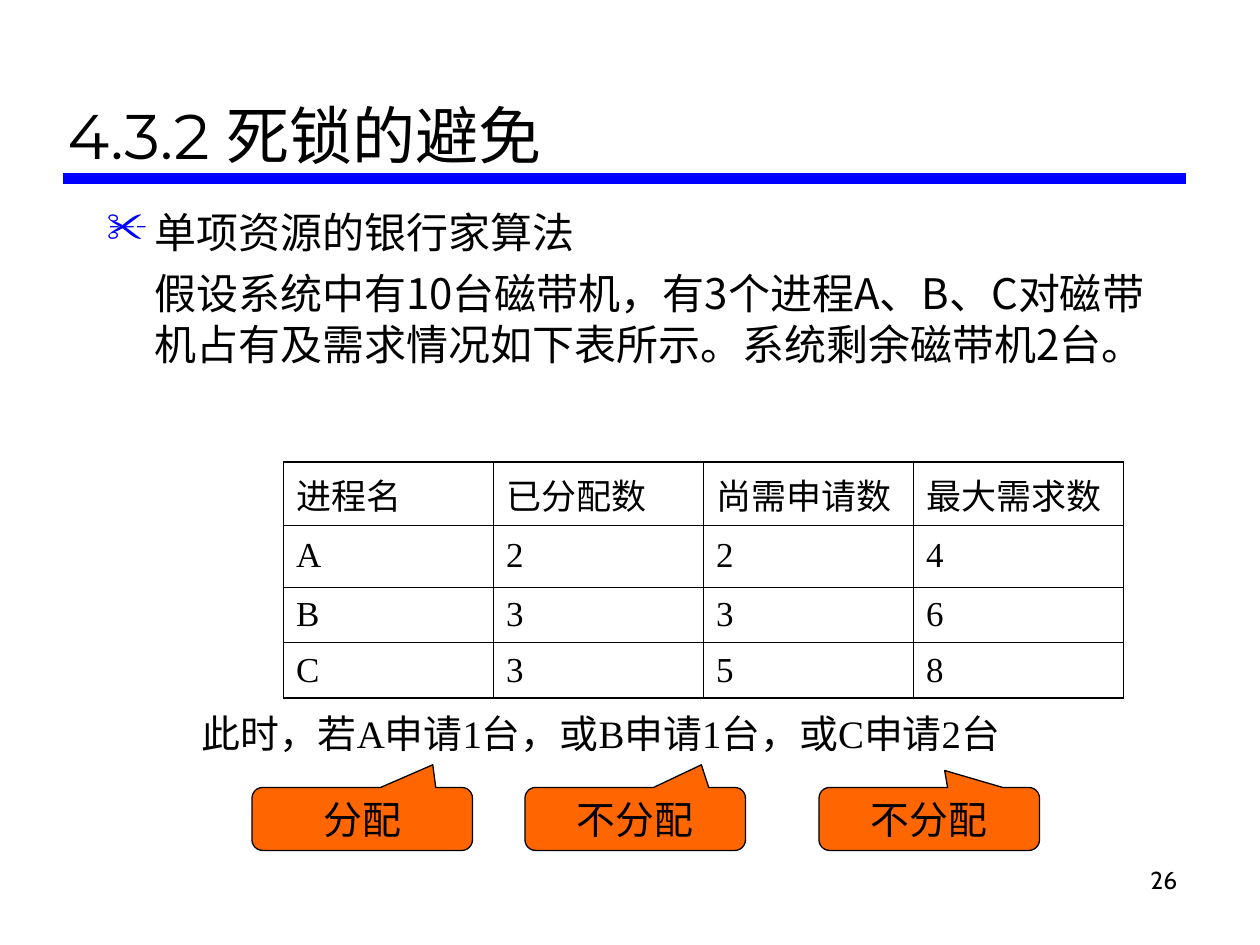
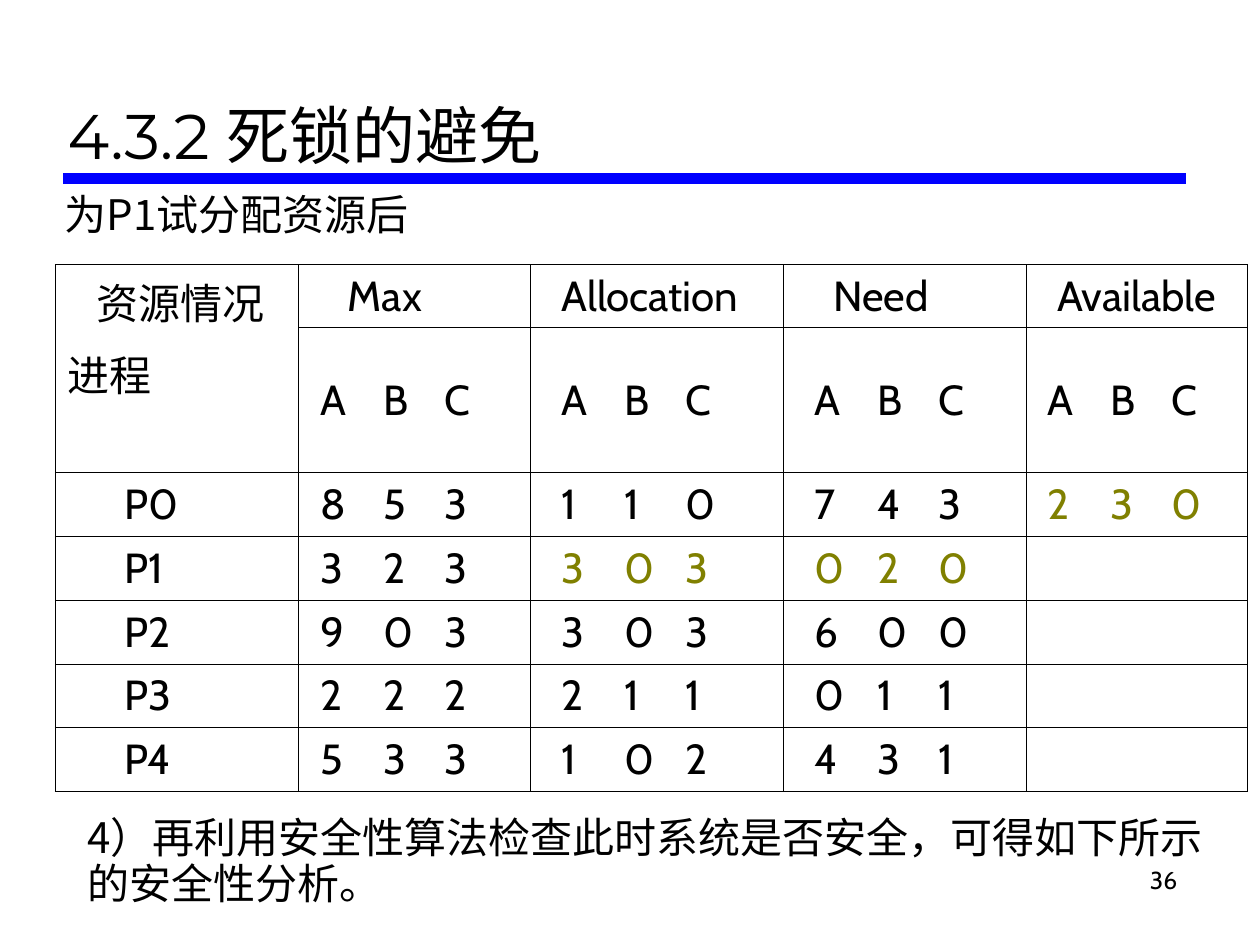
from dataclasses import dataclass
from typing import NamedTuple, Optional

import lxml.etree
import pptx
import pptx.dml.color
import pptx.enum.shapes
import pptx.enum.text
import pptx.oxml.ns
import pptx.util

ALIGN = pptx.enum.text.PP_ALIGN
ANCHOR = pptx.enum.text.MSO_ANCHOR
SHAPES = pptx.enum.shapes.MSO_SHAPE
qn = pptx.oxml.ns.qn

# The 10 by 7.5 inch slide is a grid of 120 columns by 90 rows
COLUMNS = 120
WIDTH, HEIGHT = pptx.util.Inches(10), pptx.util.Inches(7.5)
UNIT = WIDTH // COLUMNS


def grid(count: float) -> int:
    return round(count * UNIT)


@dataclass(frozen=True)
class Theme:
    ink: str = "000000"
    blue: str = "0000FF"
    orange: str = "FF6600"
    olive: str = "808000"
    heading_font: str = "Montserrat"
    body_font: str = "Noto Sans CJK SC"
    label_font: str = "Cabin"
    serif_font: str = "Times New Roman"
    title_size: float = 36
    body_size: float = 24
    note_size: float = 22.2
    table_size: float = 20
    number_size: float = 14
    title_leading: float = 44
    body_leading: float = 29
    tight_leading: float = 26
    hairline: float = 0.45
    frame_line: float = 1.08


THEME = Theme()


class Area(NamedTuple):
    column: float
    row: float
    columns: float
    rows: float

    def box(self) -> tuple:
        return tuple(grid(value) for value in self)


@dataclass(frozen=True)
class Style:
    font: str
    size: float
    colour: str = THEME.ink
    align: ALIGN = ALIGN.LEFT
    leading: Optional[float] = None
    before: float = 0
    margin: float = 0
    hanging: float = 0
    bullet: str = ""
    tabs: tuple = ()


@dataclass(frozen=True)
class Entry:
    text: str
    inset: float = 0
    colour: str = THEME.ink


@dataclass(frozen=True)
class TablePlan:
    area: Area
    widths: tuple
    heights: tuple
    style: Style
    frame_line: float


class Callout(NamedTuple):
    text: str
    column: float
    tip: tuple


BODY = Style(THEME.body_font, THEME.body_size, leading=THEME.body_leading)
NOTE = Style(THEME.serif_font, THEME.note_size)
TITLE_AREA = Area(5.25, 2, 107.65, 15)
NUMBER_AREA = Area(88.3, 81.75, 25, 6)


def rgb(colour: str) -> pptx.dml.color.RGBColor:
    return pptx.dml.color.RGBColor.from_string(colour)


def add_child(parent, tag: str, **attributes):
    return lxml.etree.SubElement(parent, qn(tag), **attributes)


# Text
def write(para, text: str, style: Style) -> None:
    para.add_run().text = text
    para.alignment = style.align
    properties = para._p.get_or_add_pPr()
    if style.margin:
        properties.set("marL", str(grid(style.margin)))
        properties.set("indent", str(-grid(style.hanging)))
    if style.leading:
        para.line_spacing = pptx.util.Pt(style.leading)
    if style.before:
        para.space_before = pptx.util.Pt(style.before)
    if style.bullet:
        add_child(add_child(properties, "a:buClr"), "a:srgbClr", val=THEME.blue)
        add_child(properties, "a:buChar", char=style.bullet)
    if style.tabs:
        stops = add_child(properties, "a:tabLst")
        for stop in style.tabs:
            add_child(stops, "a:tab", pos=str(grid(stop)), algn="l")
    para.font.name = style.font
    para.font.size = pptx.util.Pt(style.size)
    para.font.color.rgb = rgb(style.colour)
    add_child(properties.find(qn("a:defRPr")), "a:ea", typeface=THEME.body_font)


def write_all(frame, lines: list) -> None:
    for index, (text, style) in enumerate(lines):
        para = frame.add_paragraph() if index else frame.paragraphs[0]
        write(para, text, style)


def add_text(page, area: Area, lines: list) -> None:
    frame = page.shapes.add_textbox(*area.box()).text_frame
    frame.word_wrap = True
    write_all(frame, lines)


# Parts that every slide shares
def add_page(deck, title: str, number: int):
    page = deck.slides.add_slide(deck.slide_layouts[5])
    rule = page.shapes.add_connector(
        pptx.enum.shapes.MSO_CONNECTOR.STRAIGHT, grid(6), grid(17), grid(113), grid(17))
    rule.line.color.rgb = rgb(THEME.blue)
    rule.line.width = pptx.util.Pt(6)
    add_child(rule._element.spPr, "a:effectLst")

    heading = page.shapes.title
    heading.left, heading.top, heading.width, heading.height = TITLE_AREA.box()
    frame = heading.text_frame
    frame.auto_size = pptx.enum.text.MSO_AUTO_SIZE.NONE
    frame.vertical_anchor = ANCHOR.BOTTOM
    write(frame.paragraphs[0], title,
          Style(THEME.heading_font, THEME.title_size, leading=THEME.title_leading))
    add_text(page, NUMBER_AREA, [(str(number), Style(
        THEME.label_font, THEME.number_size, align=ALIGN.RIGHT))])
    return page


# Tables
def draw_border(cell, side: str, width: float) -> None:
    line = add_child(cell._tc.get_or_add_tcPr(), f"a:ln{side}",
                     w=str(pptx.util.Pt(width)))
    add_child(add_child(line, "a:solidFill"), "a:srgbClr", val=THEME.ink)


def add_table(page, plan: TablePlan, rows: list):
    last_row, last_column = len(plan.heights) - 1, len(plan.widths) - 1
    table = page.shapes.add_table(
        last_row + 1, last_column + 1, *plan.area.box()).table
    table.first_row = table.horz_banding = False
    for column, width in zip(table.columns, plan.widths):
        column.width = grid(width)
    for row, height in zip(table.rows, plan.heights):
        row.height = grid(height)
    for r, entries in enumerate(rows):
        for c, entry in enumerate(entries):
            cell = table.cell(r, c)
            outer = {"L": c == 0, "R": c == last_column,
                     "T": r == 0, "B": r == last_row}
            for side, on_frame in outer.items():
                draw_border(cell, side, plan.frame_line if on_frame else THEME.hairline)
            cell.fill.background()
            cell.vertical_anchor = ANCHOR.MIDDLE
            if entry and entry.text:
                cell.margin_left = grid(1.2 + entry.inset)
                style = Style(plan.style.font, plan.style.size,
                              entry.colour, tabs=plan.style.tabs)
                write(cell.text_frame.paragraphs[0], entry.text, style)
    return table


def add_callout(page, callout: Callout) -> None:
    shape = page.shapes.add_shape(SHAPES.ROUNDED_RECTANGULAR_CALLOUT,
                                  *Area(callout.column, 75, 21, 6).box())
    shape.shadow.inherit = False
    for index, value in enumerate((*callout.tip, 0.17)):
        shape.adjustments[index] = value
    shape.fill.solid()
    shape.fill.fore_color.rgb = rgb(THEME.orange)
    shape.line.color.rgb = rgb(THEME.ink)
    shape.line.width = pptx.util.Pt(0.75)
    shape.text_frame.vertical_anchor = ANCHOR.MIDDLE
    write(shape.text_frame.paragraphs[0], callout.text,
          Style(THEME.serif_font, THEME.note_size, align=ALIGN.CENTER))


# Slide: banker's algorithm for one resource
def build_single_resource(deck) -> None:
    page = add_page(deck, "4.3.2 死锁的避免", 26)
    lead = Style(BODY.font, BODY.size, leading=BODY.leading,
                 margin=4.5, hanging=4.5, bullet="✂")
    detail = Style(BODY.font, BODY.size, leading=BODY.leading, before=6, margin=4.5)
    add_text(page, Area(9, 19, 102, 27), [
        ("单项资源的银行家算法", lead),
        ("假设系统中有10台磁带机，有3个进程A、B、C对磁带机占有及需求情况"
         "如下表所示。系统剩余磁带机2台。", detail)])

    plan = TablePlan(Area(27, 44, 80, 22.5), (20,) * 4, (6, 5.9, 5.3, 5.3),
                     Style(THEME.serif_font, THEME.table_size), THEME.frame_line)
    records = [("进程名", "已分配数", "尚需申请数", "最大需求数"),
               ("A", "2", "2", "4"), ("B", "3", "3", "6"), ("C", "3", "5", "8")]
    add_table(page, plan, [[Entry(text) for text in record] for record in records])

    add_text(page, Area(18, 67, 95, 7),
             [("此时，若A申请1台，或B申请1台，或C申请2台", NOTE)])
    for callout in (Callout("分配", 24, (0.32, -0.86)),
                    Callout("不分配", 50, (0.3, -0.86)),
                    Callout("不分配", 78, (0.07, -0.77))):
        add_callout(page, callout)


# Slide: state after the trial allocation to P1
def build_trial_allocation(deck) -> None:
    page = add_page(deck, "4.3.2 死锁的避免", 36)
    tight = Style(BODY.font, BODY.size, leading=THEME.tight_leading, margin=3.9)
    add_text(page, Area(3.25, 77.2, 113, 10), [
        ("4）再利用安全性算法检查此时系统是否安全，可得如下所示的安全性分析。", tight)])

    label = Style(THEME.label_font, THEME.body_size, tabs=(6, 11.8))
    plan = TablePlan(Area(5.25, 25.2, 113.6, 50.2), (23.2, 22.1, 24.1, 23.1, 21.1),
                     (6, 13.8) + (6.08,) * 5, label, THEME.hairline)
    insets = (0.85, 1.75, 1.75, 0.85)
    headings = [Entry("Max", 3.5), Entry("Allocation", 1.75),
                Entry("Need", 3.5), Entry("Available", 1.75)]
    states = [("853", "110", "743", "230"), ("323", "303", "020", ""),
              ("903", "303", "600", ""), ("222", "211", "011", ""),
              ("533", "102", "431", "")]
    changed = {(0, 3), (1, 1), (1, 2)}

    rows = [[None, *headings],
            [None, *(Entry("A\tB\tC", inset) for inset in insets)]]
    for process, state in enumerate(states):
        rows.append([Entry(f"P{process}", 5.4)] + [
            Entry("\t".join(digits), inset,
                  THEME.olive if (process, kind) in changed else THEME.ink)
            for kind, (digits, inset) in enumerate(zip(state, insets))])
    table = add_table(page, plan, rows)

    corner = table.cell(0, 0)
    corner.merge(table.cell(1, 0))
    corner.vertical_anchor = ANCHOR.TOP
    write_all(corner.text_frame, [
        ("资源情况", Style(label.font, label.size, margin=2.7)),
        ("进程", Style(label.font, label.size, before=6))])
    add_text(page, Area(5, 17.3, 50, 6), [("为P1试分配资源后", BODY)])


def main() -> None:
    deck = pptx.Presentation()
    deck.slide_width, deck.slide_height = WIDTH, HEIGHT
    build_single_resource(deck)
    build_trial_allocation(deck)
    deck.save("out.pptx")


if __name__ == "__main__":
    main()
